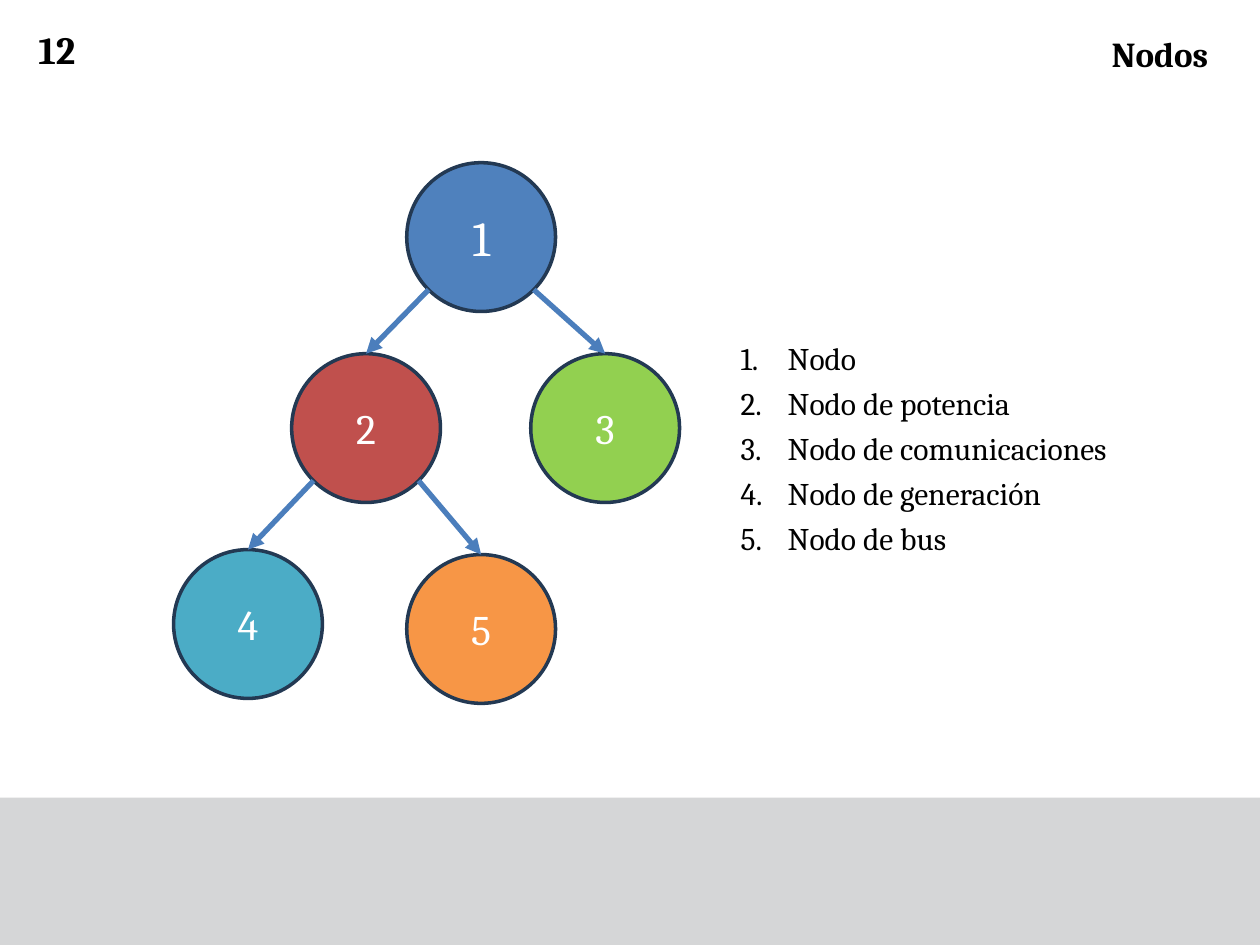
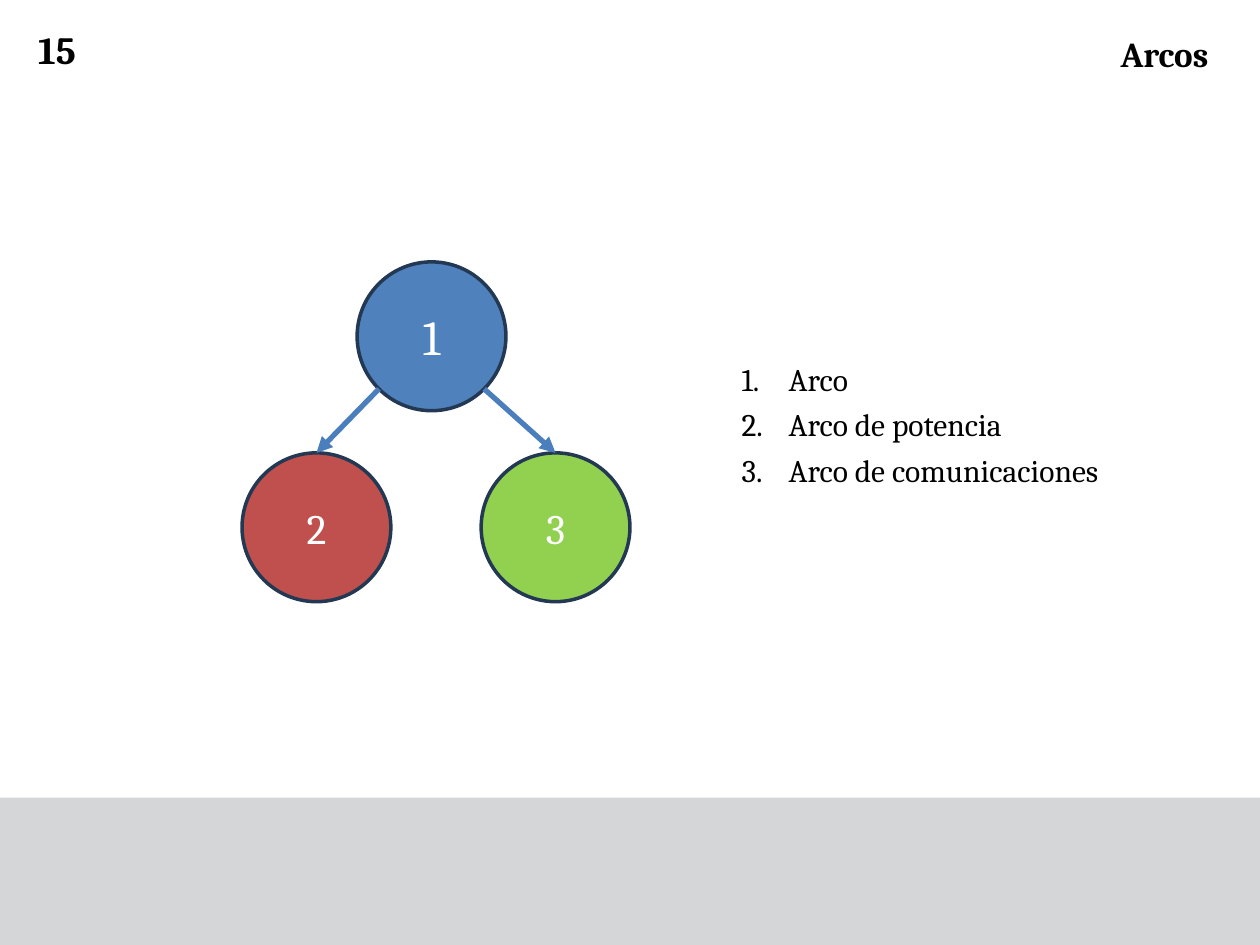
from math import sqrt
from lxml.etree import SubElement
from pptx import Presentation
from pptx.dml.color import RGBColor
from pptx.enum.shapes import MSO_CONNECTOR, MSO_SHAPE
from pptx.enum.text import MSO_ANCHOR, PP_ALIGN
from pptx.oxml.ns import qn
from pptx.util import Cm, Pt

FONT = "Cambria"
COLORS = {
    "band": "D5D6D7", "text": "000000", "white": "FFFFFF",
    "outline": "233953", "arrow": "4B7EBC",
    "blue": "4F81BD", "red": "C0504D", "green": "92D050",
    "teal": "4BACC6", "orange": "F79646",
}
DIAMETER = 3.0

# Node number: left and top relative to the root, fill, text size
NODES = {
    1: (0, 0, "blue", 28),
    2: (-2.32, 3.85, "red", 24),
    3: (2.5, 3.85, "green", 24),
    4: (-4.7, 7.8, "teal", 24),
    5: (0, 7.9, "orange", 24),
}
# Parent, left child, right child
BRANCHES = [(1, 2, 3), (2, 4, 5)]


def rgb(name):
    return RGBColor.from_string(COLORS[name])


def add_run(p, text, size, color="text", bold=False):
    r = p.add_run()
    r.text = text
    r.font.name = FONT
    r.font.size = Pt(size)
    r.font.bold = bold
    r.font.color.rgb = rgb(color)


def add_shape(s, kind, box, fill):
    sp = s.shapes.add_shape(kind, *map(Cm, box))
    sp.shadow.inherit = False
    sp.fill.solid()
    sp.fill.fore_color.rgb = rgb(fill)
    sp.line.fill.background()
    return sp


def add_text(s, box, anchor=MSO_ANCHOR.TOP):
    tf = s.shapes.add_textbox(*map(Cm, box)).text_frame
    tf.word_wrap = True
    tf.vertical_anchor = anchor
    return tf


def add_frame(s, number, title):
    # Footer band
    add_shape(s, MSO_SHAPE.RECTANGLE, (0, 16.08, 25.4, 2.97), "band")
    # Title and slide number
    for box, text, size, align in [
        ((13.69, 0.38, 10.92, 1.4), title, 20, PP_ALIGN.RIGHT),
        ((0.2, 0.48, 1.9, 1.02), number, 22, PP_ALIGN.CENTER),
    ]:
        p = add_text(s, box, MSO_ANCHOR.MIDDLE).paragraphs[0]
        p.alignment = align
        add_run(p, text, size, bold=True)


def add_node(s, left, top, number):
    dx, dy, fill, size = NODES[number]
    box = (left + dx, top + dy, DIAMETER, DIAMETER)
    sp = add_shape(s, MSO_SHAPE.OVAL, box, fill)
    sp.line.color.rgb = rgb("outline")
    sp.line.width = Pt(2)
    tf = sp.text_frame
    tf.vertical_anchor = MSO_ANCHOR.MIDDLE
    p = tf.paragraphs[0]
    p.alignment = PP_ALIGN.CENTER
    add_run(p, str(number), size, "white")


def add_arrow(s, left, top, parent, child, side):
    """Join the parent's lower side (-1 left, 1 right) to the child's top."""
    px, py = NODES[parent][:2]
    cx, cy = NODES[child][:2]
    radius = DIAMETER / 2
    diagonal = radius / sqrt(2)
    ends = (left + px + radius + side * diagonal,
            top + py + radius + diagonal,
            left + cx + radius, top + cy)
    cxn = s.shapes.add_connector(MSO_CONNECTOR.STRAIGHT, *map(Cm, ends))
    cxn.line.color.rgb = rgb("arrow")
    cxn.line.width = Pt(3)
    SubElement(cxn.line._get_or_add_ln(), qn("a:tailEnd"), type="triangle")
    SubElement(cxn._element.spPr, qn("a:effectLst"))


def add_tree(s, left, top, count):
    for number in range(1, count + 1):
        add_node(s, left, top, number)
    for parent, *children in BRANCHES:
        for child, side in zip(children, (-1, 1)):
            if child <= count:
                add_arrow(s, left, top, parent, child, side)


def add_numbered_list(s, box, items):
    tf = add_text(s, box)
    for i, item in enumerate(items):
        p = tf.add_paragraph() if i else tf.paragraphs[0]
        pPr = p._p.get_or_add_pPr()
        pPr.set("marL", str(Cm(0.95)))
        pPr.set("indent", str(-Cm(0.95)))
        SubElement(pPr, qn("a:buFont"), typeface=FONT)
        SubElement(pPr, qn("a:buAutoNum"), type="arabicPeriod")
        if i:
            p.space_before = Pt(4.2)
        add_run(p, item, 18)


def add_tree_slide(prs, number, title, root, list_box, items):
    s = prs.slides.add_slide(prs.slide_layouts[6])
    add_frame(s, number, title)
    add_tree(s, *root, len(items))
    add_numbered_list(s, list_box, items)


def main():
    prs = Presentation()
    prs.slide_width, prs.slide_height = Cm(25.4), Cm(19.05)
    add_tree_slide(prs, "12", "Nodos", (8.2, 3.28), (14.68, 6.7, 8.56, 4.72), [
        "Nodo", "Nodo de potencia", "Nodo de comunicaciones",
        "Nodo de generación", "Nodo de bus"])
    add_tree_slide(prs, "15", "Arcos", (7.2, 5.28), (14.7, 7.14, 8.33, 2.87), [
        "Arco", "Arco de potencia", "Arco de comunicaciones"])
    prs.save("out.pptx")


if __name__ == "__main__":
    main()
